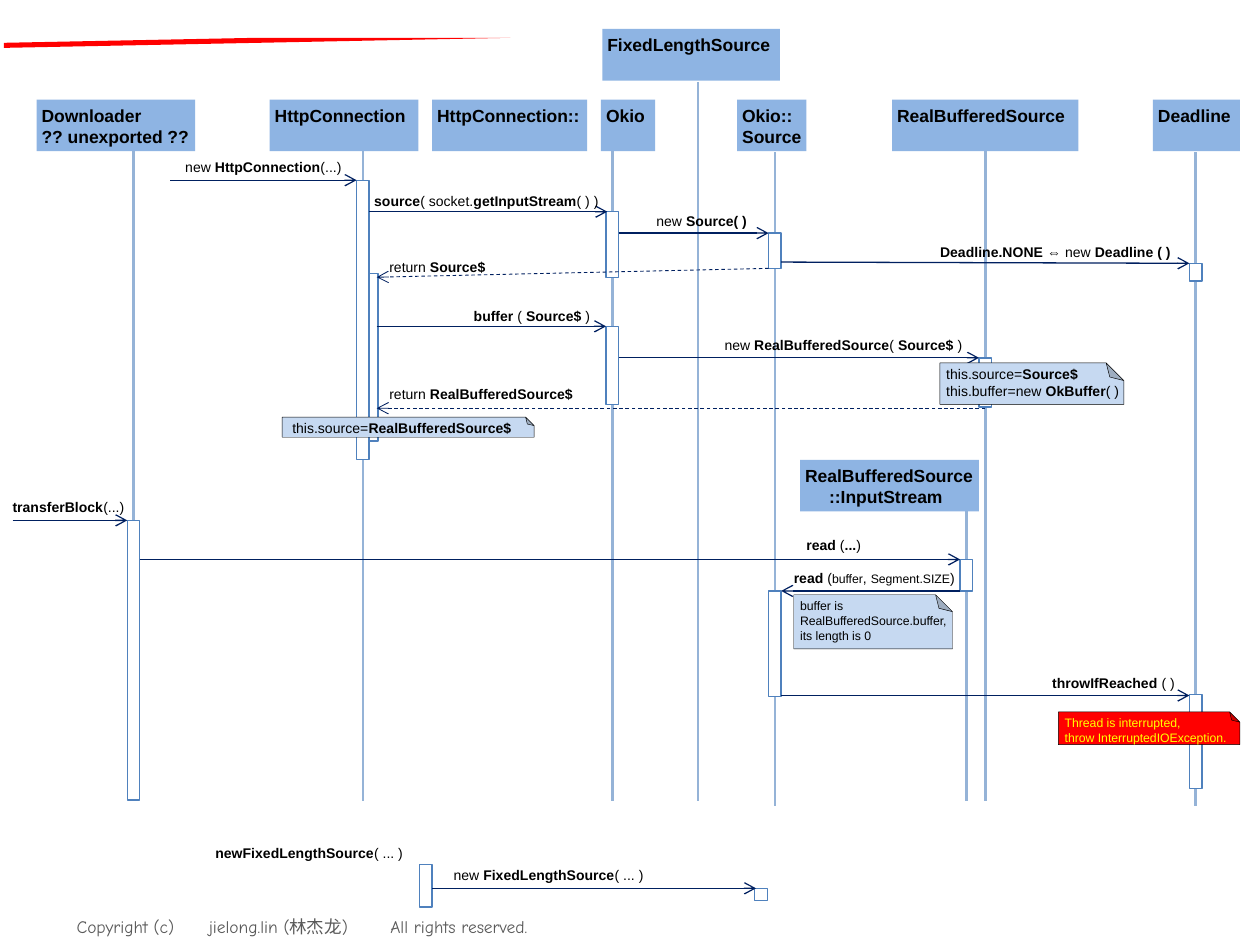
from lxml import etree
from pptx import Presentation
from pptx import util as u
from pptx.dml.color import RGBColor
from pptx.enum import dml, shapes, text
from pptx.oxml.ns import qn

PX = u.Inches(1) // 100
FONT = "Arial"
BAR = 10

LIFELINES = [
    (106, 116, 636), (288, 116, 636), (486, 116, 636), (554, 65, 636),
    (615, 121, 640), (767, 405, 636), (782, 116, 636), (949, 121, 640),
]

PARTICIPANTS = [
    (29, 79, 126, ["Downloader", "?? unexported ??"]),
    (214, 79, 118, ["HttpConnection"]),
    (343, 79, 123, ["HttpConnection::"]),
    (477, 79, 43, ["Okio"]),
    (478, 23, 141, ["FixedLengthSource"]),
    (585, 79, 55, ["Okio::", "Source"]),
    (708, 79, 148, ["RealBufferedSource"]),
    (915, 79, 69, ["Deadline"]),
    (635, 365, 142, ["RealBufferedSource", "::InputStream"]),
]

ACTIVATIONS = [
    (283, 143, BAR, 222), (293, 217, 7, 133), (481, 168, BAR, 52),
    (481, 259, BAR, 62), (777, 284, BAR, 39), (610, 185, BAR, 28),
    (944, 209, BAR, 14), (101, 413, BAR, 222), (333, 686, BAR, 34),
    (599, 705, BAR, 10), (762, 444, BAR, 25), (610, 469, BAR, 84),
    (944, 551, BAR, 75),
]

CALLS = [
    (135, 143, 283, 143), (293, 168, 482, 168), (491, 185, 610, 185),
    (620, 208, 944, 209), (299, 259, 481, 259), (491, 284, 777, 284),
    (10, 413, 101, 413), (111, 444, 762, 444), (762, 469, 620, 469),
    (620, 552, 944, 552), (343, 705, 600, 705),
]

RETURNS = [(610, 213, 299, 220), (782, 324, 299, 324)]

LABELS = [
    (147, 126, 131, "new *HttpConnection*(...)"),
    (297, 153, 184, "*source*( socket.*getInputStream*( ) )"),
    (521, 169, 80, "new *Source( )*"),
    (309, 205, 87, "return *Source$*"),
    (376, 244, 100, "*buffer *( *Source$ *)"),
    (575, 267, 195, "new *RealBufferedSource*( *Source$ *)"),
    (743, 193, 195, "* Deadline.NONE *⇔ new* Deadline ( )*"),
    (309, 306, 167, "return *RealBufferedSource$*"),
    (10, 396, 96, "*transferBlock*(...)"),
    (171, 670, 153, "*newFixedLengthSource*( ... )"),
    (360, 688, 153, "new *FixedLengthSource*( ... )"),
    (640, 426, 50, "*read *(*...*)"),
    (630, 452, 134, "*read *(~buffer~, ~Segment.SIZE~)"),
    (835, 535, 102, "*throwIfReached *( )"),
]

NOTES = [
    ((746, 288, 146, 33), (751, 290, 142, 27), 42500, "C6D9F1", "000000", 8,
     ["this.source=*Source$*", "this.buffer=new *OkBuffer*( )"]),
    ((224, 331, 200, 16), (232, 333, 183, 13), 42500, "C6D9F1", "000000", 8,
     ["this.source=*RealBufferedSource$*"]),
    ((630, 472, 126, 43), (635, 475, 121, 35), 31200, "C6D9F1", "000000", 7,
     ["buffer is RealBufferedSource.buffer,", "its length is 0"]),
    ((840, 565, 144, 26), (845, 568, 139, 23), 31200, "FF0000", "FFFF00", 7,
     ["Thread is interrupted,", "throw InterruptedIOException."]),
]

COPYRIGHT = "Copyright (c)\tjielong.lin (林杰龙)\tAll rights reserved."
COPYRIGHT_TABS = [105, 249]
SWOOSH = [(3, 34), (204, 30), (405, 30), (3, 38)]

deck = Presentation()
deck.slide_width, deck.slide_height = 1000 * PX, 750 * PX
page = deck.slides.add_slide(deck.slide_layouts[6])


def color(code):
    return RGBColor.from_string(code)


def scaled(lengths):
    return [length * PX for length in lengths]


def add_box(place, fill, line=None, width=0.75, kind=shapes.MSO_SHAPE.RECTANGLE):
    box = page.shapes.add_shape(kind, *scaled(place))
    box.shadow.inherit = False
    box.fill.solid()
    box.fill.fore_color.rgb = color(fill)
    if line:
        box.line.color.rgb = color(line)
        box.line.width = u.Pt(width)
    else:
        box.line.fill.background()
    return box


def add_line(ends, tint, width, arrow=False, dashed=False):
    line = page.shapes.add_connector(shapes.MSO_CONNECTOR.STRAIGHT, *scaled(ends))
    line.line.color.rgb = color(tint)
    line.line.width = u.Pt(width)
    if dashed:
        line.line.dash_style = dml.MSO_LINE.DASH
    if arrow:
        outline = line._element.spPr.find(qn("a:ln"))
        etree.SubElement(outline, qn("a:tailEnd"), type="arrow")
    etree.SubElement(line._element.spPr, qn("a:effectLst"))


def add_span(para, words, size, tint, bold=False, font=FONT):
    span = para.add_run()
    span.text = words
    span.font.name, span.font.size, span.font.bold = font, u.Pt(size), bold
    span.font.color.rgb = color(tint)


def set_frame(box, margins):
    frame = box.text_frame
    frame.word_wrap = True
    frame.vertical_anchor = text.MSO_ANCHOR.TOP
    (frame.margin_left, frame.margin_top,
     frame.margin_right, frame.margin_bottom) = scaled(margins)
    return frame


def write(box, lines, size, tint="000000", margins=(0, 0, 0, 0)):
    frame = set_frame(box, margins)
    for row, line in enumerate(lines):
        para = frame.add_paragraph() if row else frame.paragraphs[0]
        para.alignment = text.PP_ALIGN.LEFT
        for part, phrase in enumerate(line.split("*")):
            for piece, words in enumerate(phrase.split("~")):
                if words:
                    add_span(para, words, size - piece % 2, tint, part % 2 == 1)


footer = page.shapes.add_textbox(*scaled((51, 722, 433, 27)))
para = set_frame(footer, (10, 5, 10, 5)).paragraphs[0]
tabs = etree.SubElement(para._p.get_or_add_pPr(), qn("a:tabLst"))
for stop in COPYRIGHT_TABS:
    etree.SubElement(tabs, qn("a:tab"), pos=str(stop * PX), algn="l")
add_span(para, COPYRIGHT, 10, "595959", font="Comic Neue")

builder = page.shapes.build_freeform(*SWOOSH[0], scale=PX)
builder.add_line_segments(SWOOSH[1:], close=True)
swoosh = builder.convert_to_shape()
swoosh.shadow.inherit = False
swoosh.fill.solid()
swoosh.fill.fore_color.rgb = color("FF0000")
swoosh.line.fill.background()

for x, top, bottom in LIFELINES:
    add_line((x, top, x, bottom), "95B3D7", 1.5)

for left, top, width, names in PARTICIPANTS:
    head = add_box((left, top, width, 41), "8EB4E3")
    write(head, [f"*{name}*" for name in names], 10, margins=(4, 4, 0, 4))
    if names[-1] == "::InputStream":
        head.text_frame.paragraphs[-1]._p.get_or_add_pPr().set("marL", str(19 * PX))

for place in ACTIVATIONS:
    add_box(place, "FFFFFF", "4F81BD")

for ends in CALLS:
    add_line(ends, "002060", 0.75, arrow=True)
for ends in RETURNS:
    add_line(ends, "002060", 0.5, arrow=True, dashed=True)

for left, top, width, label in LABELS:
    box = page.shapes.add_textbox(*scaled((left, top, width, 17)))
    write(box, [label], 8, margins=(0, 0, 0, 4))

for place, inner, fold, fill, tint, size, lines in NOTES:
    note = add_box(place, fill, "000000", 0.25, shapes.MSO_SHAPE.FOLDED_CORNER)
    guides = note._element.spPr.find(qn("a:prstGeom")).find(qn("a:avLst"))
    etree.SubElement(guides, qn("a:gd"), name="adj", fmla=f"val {fold}")
    note.rotation = 180
    note._element.spPr.find(qn("a:xfrm")).set("flipH", "1")
    write(page.shapes.add_textbox(*scaled(inner)), lines, size, tint)

deck.save("out.pptx")
